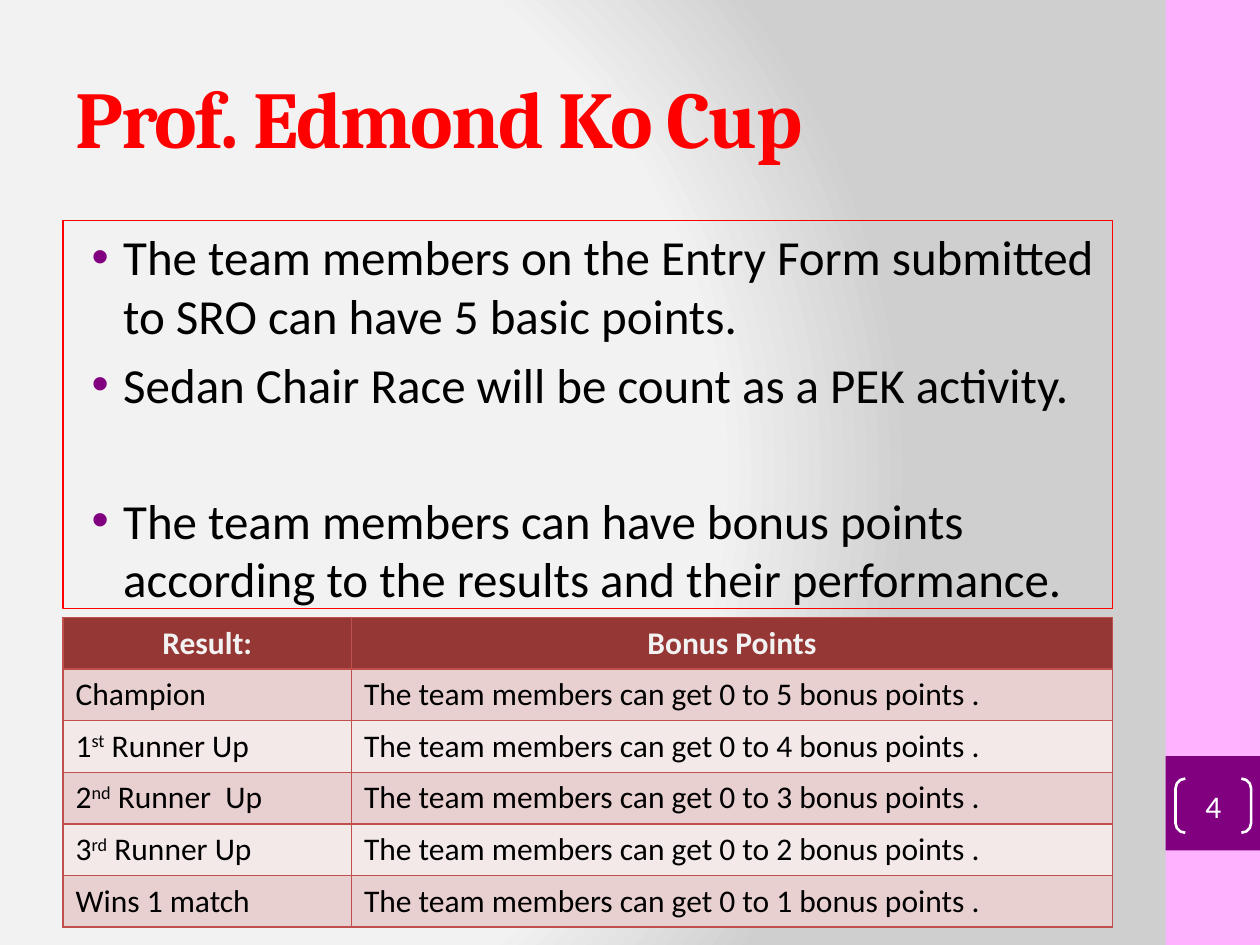
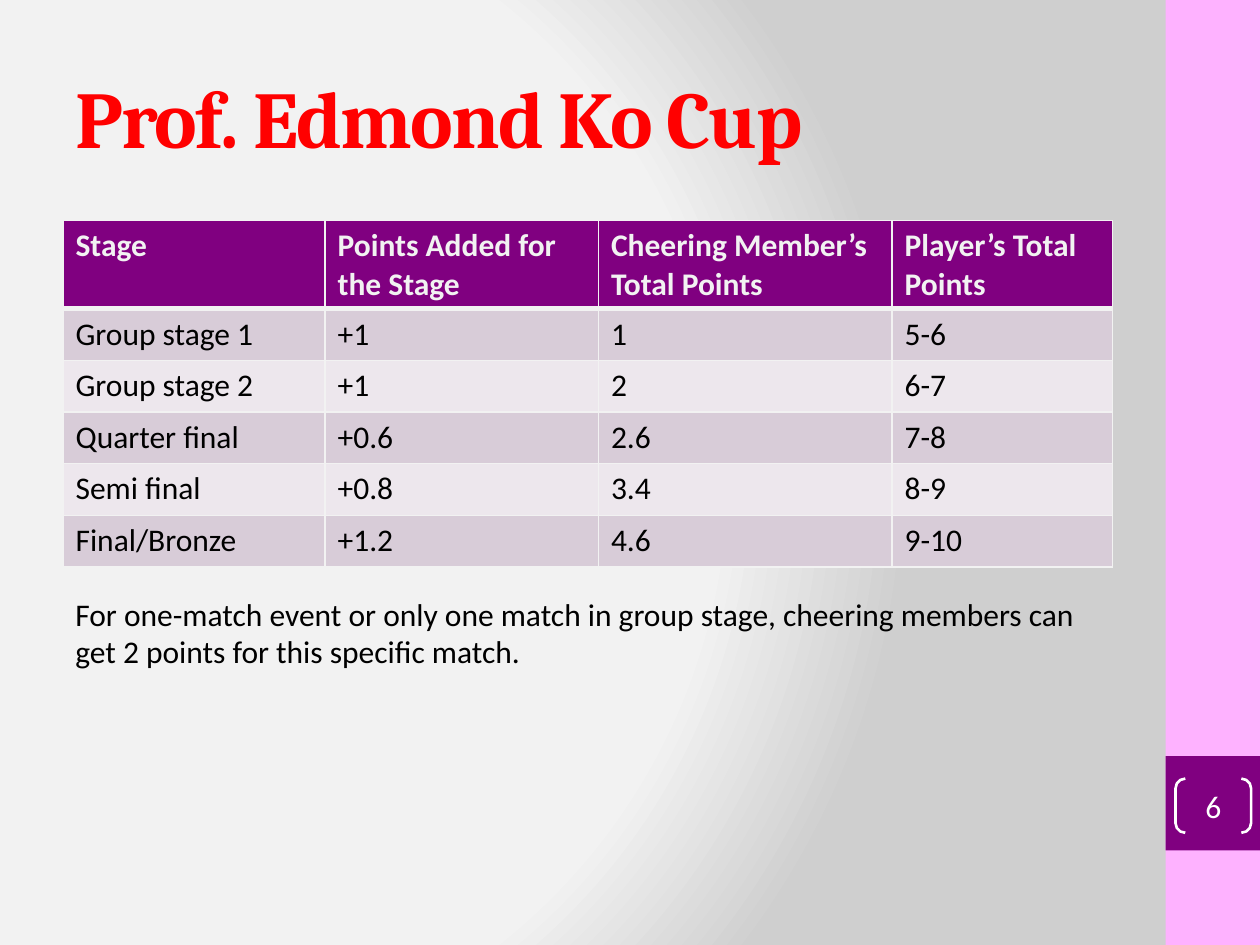
from pptx import Presentation
from pptx.dml.color import RGBColor
from pptx.enum.shapes import MSO_SHAPE
from pptx.enum.text import MSO_ANCHOR, PP_ALIGN
from pptx.oxml import parse_xml
from pptx.oxml.ns import nsdecls, qn
from pptx.util import Inches, Pt

RECTANGLE, BRACKETS = MSO_SHAPE.RECTANGLE, MSO_SHAPE.DOUBLE_BRACKET
TOP, MIDDLE = MSO_ANCHOR.TOP, MSO_ANCHOR.MIDDLE
LEFT, CENTER = PP_ALIGN.LEFT, PP_ALIGN.CENTER

RED = RGBColor(0xFF, 0x00, 0x00)
PURPLE = RGBColor(0x80, 0x00, 0x80)
PINK = RGBColor(0xFE, 0xB2, 0xFF)
WHITE = RGBColor(0xFF, 0xFF, 0xFF)
BLACK = RGBColor(0x00, 0x00, 0x00)
PALE = RGBColor(0xF2, 0xF2, 0xF2)
BRICK = RGBColor(0x95, 0x37, 0x35)
BRICK_LINE = RGBColor(0xC0, 0x50, 0x4D)
BRICK_BANDS = (RGBColor(0xE8, 0xD0, 0xD0), RGBColor(0xF4, 0xE9, 0xE9))
PURPLE_BANDS = (RGBColor(0xD8, 0xCC, 0xD8), RGBColor(0xED, 0xE7, 0xED))
BACKDROP_STOPS = ((0, "F3F3F3"), (75000, "F2F2F2"), (100000, "CFCFCF"))

TITLE_FORMAT = {"name": "Cambria", "size": Pt(46), "bold": True}
BULLET_FORMAT = {"name": "Calibri", "size": Pt(28), "bold": False}
SMALL_FORMAT = {"name": "Calibri", "size": Pt(18), "bold": False}
HEADER_FORMAT = {**SMALL_FORMAT, "bold": True}

CONTENT_LEFT, CONTENT_WIDTH = 0.5, 8.33
TITLE_BOX = (CONTENT_LEFT, 0.3, CONTENT_WIDTH, 1.25)
RULES_BOX = (CONTENT_LEFT, 1.75, CONTENT_WIDTH, 3.08)
NOTE_BOX = (CONTENT_LEFT, 4.67, CONTENT_WIDTH, 0.71)
SIDE_BAND = (9.25, 0, 0.75, 7.5)
ROW_HEIGHT = 0.41

TITLE = "Prof. Edmond Ko Cup"
RULES = (
    ("The team members on the Entry Form submitted to SRO can have 5 basic points.", 5.6),
    ("Sedan Chair Race will be count as a PEK activity.", 5.6),
    ("The team members can have bonus points according to the results "
     "and their performance.", 44),
)
RESULTS = ("Champion", "1^st^ Runner Up", "2^nd^ Runner  Up", "3^rd^ Runner Up", "Wins 1 match")
BONUS_ROWS = [("Result:", "Bonus Points")] + [
    (result, f"The team members can get 0 to {most} bonus points .")
    for result, most in zip(RESULTS, range(5, 0, -1))
]
STAGE_ROWS = [
    ("Stage", "Points Added for the Stage", "Cheering Member’s Total Points", "Player’s Total Points"),
    ("Group stage 1", "+1", "1", "5-6"),
    ("Group stage 2", "+1", "2", "6-7"),
    ("Quarter final", "+0.6", "2.6", "7-8"),
    ("Semi final", "+0.8", "3.4", "8-9"),
    ("Final/Bronze", "+1.2", "4.6", "9-10"),
]
NOTE = ("For one-match event or only one match in group stage, cheering members can "
        "get 2 points for this specific match.")


def write(para, text, style, color, align=LEFT):
    """Fill a paragraph, raising the parts set between carets."""
    para.alignment = align
    for index, part in enumerate(text.split("^")):
        span = para.add_run()
        span.text = part
        for name, value in style.items():
            setattr(span.font, name, value)
        span.font.color.rgb = color
        if index % 2:
            span._r.get_or_add_rPr().set("baseline", "30000")


def add_block(page, kind, box, fill=None, line=None, weight=0.75):
    """Add a flat preset shape with an optional fill and line."""
    block = page.shapes.add_shape(kind, *map(Inches, box))
    block.shadow.inherit = False
    for part, color in ((block.fill, fill), (block.line.fill, line)):
        if color is None:
            part.background()
        else:
            part.solid()
            part.fore_color.rgb = color
    if line is not None:
        block.line.width = Pt(weight)
    return block


def add_text(page, box, text, style, color, anchor=TOP):
    """Add a wrapping text box and return its paragraph."""
    frame = page.shapes.add_textbox(*map(Inches, box)).text_frame
    frame.word_wrap = True
    frame.vertical_anchor = anchor
    write(frame.paragraphs[0], text, style, color)
    return frame.paragraphs[0]


def paint_backdrop(page):
    """Give the page its circular grey gradient."""
    stops = "".join(f'<a:gs pos="{position}"><a:srgbClr val="{color}"/></a:gs>'
                    for position, color in BACKDROP_STOPS)
    page.element.find(qn("p:cSld")).insert(0, parse_xml(
        f'<p:bg {nsdecls("p", "a")}><p:bgPr><a:gradFill rotWithShape="1">'
        f'<a:gsLst>{stops}</a:gsLst><a:path path="circle">'
        '<a:fillToRect l="20000" t="50000" r="100000" b="50000"/></a:path>'
        '</a:gradFill><a:effectLst/></p:bgPr></p:bg>'))


def add_side_band(page, box, number):
    """Draw the right-hand band with the bracketed page number."""
    left, top, width, _ = box
    add_block(page, RECTANGLE, box, PINK)
    add_block(page, RECTANGLE, (left, top + 6, width, width), PURPLE)
    badge = add_block(page, BRACKETS, (left + 0.08, top + 6.18, 0.6, 0.43), None, WHITE, 1.5)
    badge.adjustments[0] = 0.18
    frame = badge.text_frame
    for side in ("left", "top", "right", "bottom"):
        setattr(frame, f"margin_{side}", 0)
    frame.vertical_anchor = MIDDLE
    write(frame.paragraphs[0], str(number), SMALL_FORMAT, WHITE, CENTER)


def add_page(deck, number):
    """Add a page with the shared backdrop, band and title."""
    page = deck.slides.add_slide(deck.slide_layouts[6])
    paint_backdrop(page)
    add_side_band(page, SIDE_BAND, number)
    heading = add_text(page, TITLE_BOX, TITLE, TITLE_FORMAT, RED, MIDDLE)
    heading.runs[0]._r.get_or_add_rPr().set("spc", "-100")
    return page


def add_rules(page, box):
    """Add the outlined box of bulleted rules."""
    frame = add_block(page, RECTANGLE, box, None, RED).text_frame
    frame.word_wrap = True
    frame.vertical_anchor = TOP
    for index, (text, gap) in enumerate(RULES):
        para = frame.add_paragraph() if index else frame.paragraphs[0]
        write(para, text, BULLET_FORMAT, BLACK)
        para.space_before = Pt(gap)
        props = para._p.get_or_add_pPr()
        props.set("marL", str(Inches(0.38)))
        props.set("indent", str(Inches(-0.25)))
        for xml in (f'<a:buClr {nsdecls("a")}><a:srgbClr val="{PURPLE}"/></a:buClr>',
                    f'<a:buFont {nsdecls("a")} typeface="Arial"/>',
                    f'<a:buChar {nsdecls("a")} char="•"/>'):
            props.append(parse_xml(xml))


def set_borders(cell, color, top, bottom):
    """Outline a cell, with separate weights for the top and bottom edges."""
    props = cell._tc.get_or_add_tcPr()
    for index, (edge, weight) in enumerate((("L", 1), ("R", 1), ("T", top), ("B", bottom))):
        props.insert(index, parse_xml(
            f'<a:ln{edge} {nsdecls("a")} w="{Pt(weight)}"><a:solidFill>'
            f'<a:srgbClr val="{color}"/></a:solidFill></a:ln{edge}>'))


def add_grid(page, top, rows, widths, header_fill, bands, line,
             header_height=ROW_HEIGHT, header_rule=1, header_align=LEFT, anchor=TOP):
    """Add a table with a header row and alternating bands."""
    heights = [header_height] + [ROW_HEIGHT] * (len(rows) - 1)
    box = map(Inches, (CONTENT_LEFT, top, sum(widths), sum(heights)))
    table = page.shapes.add_table(len(rows), len(widths), *box).table
    for column, width in zip(table.columns, widths):
        column.width = Inches(width)
    for index, (texts, height) in enumerate(zip(rows, heights)):
        header = index == 0
        table.rows[index].height = Inches(height)
        for cell, text in zip(table.rows[index].cells, texts):
            cell.fill.solid()
            cell.fill.fore_color.rgb = header_fill if header else bands[(index - 1) % 2]
            cell.vertical_anchor = anchor
            set_borders(cell, line, header_rule if index == 1 else 1,
                        header_rule if header else 1)
            write(cell.text_frame.paragraphs[0], text,
                  HEADER_FORMAT if header else SMALL_FORMAT,
                  PALE if header else BLACK, header_align if header else LEFT)


def build_bonus_page(deck):
    """Build the page of rules and bonus points."""
    page = add_page(deck, 4)
    add_rules(page, RULES_BOX)
    add_grid(page, 4.9, BONUS_ROWS, (2.29, 6.04), BRICK, BRICK_BANDS, BRICK_LINE,
             header_align=CENTER, anchor=MIDDLE)


def build_stage_page(deck):
    """Build the page of points for each stage."""
    page = add_page(deck, 6)
    add_grid(page, 1.75, STAGE_ROWS, (2.08, 2.17, 2.33, 1.75), PURPLE, PURPLE_BANDS, PALE,
             header_height=0.7, header_rule=3)
    add_text(page, NOTE_BOX, NOTE, SMALL_FORMAT, BLACK)


def main():
    """Build and save the deck."""
    deck = Presentation()
    deck.slide_width, deck.slide_height = Inches(10), Inches(7.5)
    build_bonus_page(deck)
    build_stage_page(deck)
    deck.save("out.pptx")


if __name__ == "__main__":
    main()
